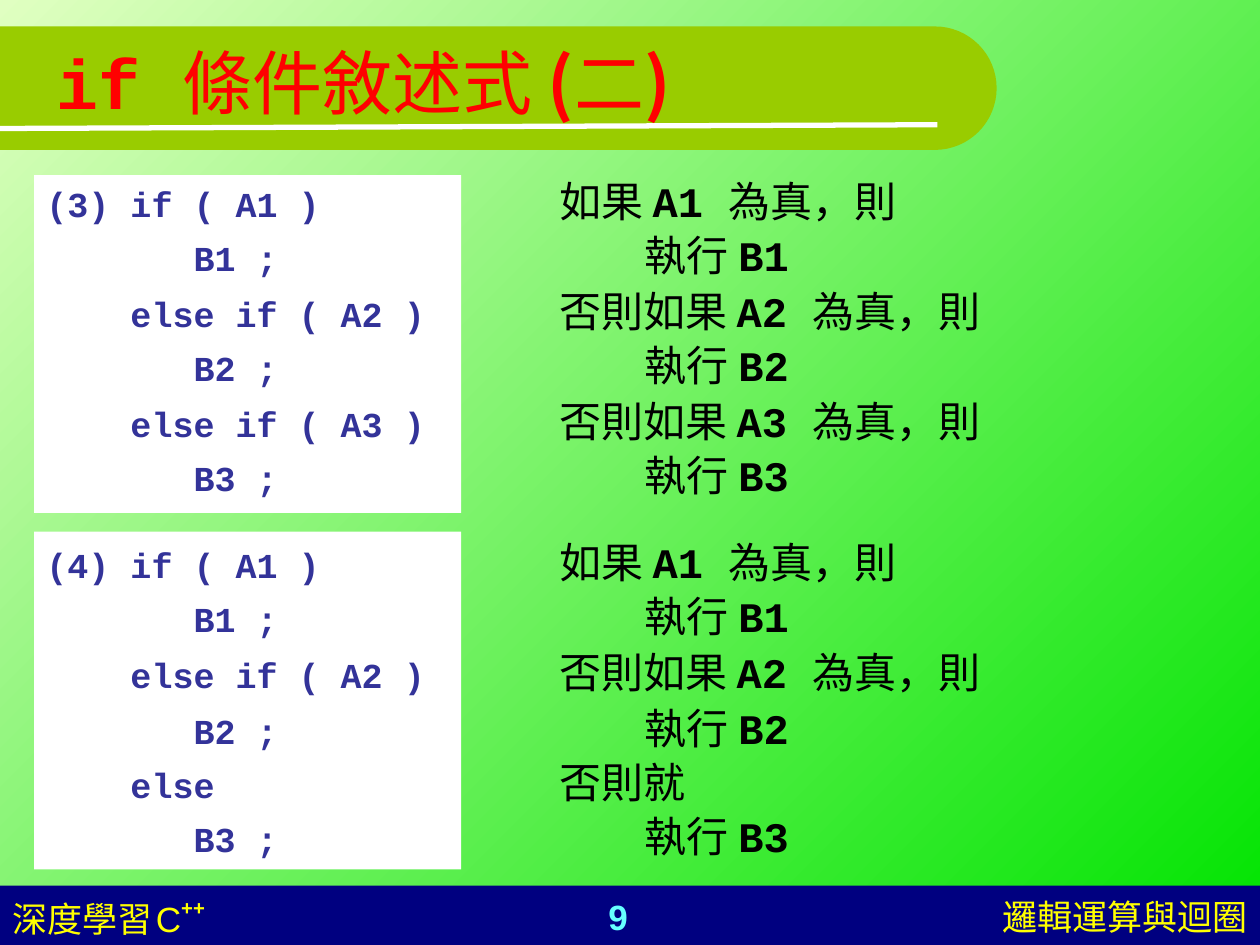
from math import cos, pi, sin

from lxml import etree
from pptx import Presentation
from pptx.dml.color import RGBColor
from pptx.enum.shapes import MSO_CONNECTOR, MSO_SHAPE
from pptx.enum.text import MSO_ANCHOR, PP_ALIGN
from pptx.oxml.ns import qn
from pptx.util import Inches, Pt

RECT = MSO_SHAPE.RECTANGLE
LINE = MSO_CONNECTOR.STRAIGHT
TOP, MIDDLE = MSO_ANCHOR.TOP, MSO_ANCHOR.MIDDLE
LEFT, CENTER, RIGHT = PP_ALIGN.LEFT, PP_ALIGN.CENTER, PP_ALIGN.RIGHT
MONO, SANS, HAN = "Courier New", "Arial", "Noto Sans CJK SC"
BLUE, YELLOW, RED = "333399", "FFFF00", "FF0000"

# Code, Chinese before the name, name, Chinese after it, space before
LINES = [
    ("(3) if ( A1 )", "如果 ", "A1 ", "為真，則", 0),
    ("       B1 ;", "執行 ", "B1", "", 5),
    ("    else if ( A2 )", "否則如果 ", "A2 ", "為真，則", 6),
    ("       B2 ;", "執行 ", "B2", "", 5),
    ("    else if ( A3 )", "否則如果 ", "A3 ", "為真，則", 6),
    ("       B3 ;", "執行 ", "B3", "", 5),
    ("(4) if ( A1 )", "如果 ", "A1 ", "為真，則", 24),
    ("       B1 ;", "執行 ", "B1", "", 5),
    ("    else if ( A2 )", "否則如果 ", "A2 ", "為真，則", 6),
    ("       B2 ;", "執行 ", "B2", "", 6),
    ("    else", "否則就", "", "", 5),
    ("       B3 ;", "執行 ", "B3", "", 5),
]


def color(code):
    return RGBColor.from_string(code)


def paint(shape, code):
    shape.shadow.inherit = False
    shape.fill.solid()
    shape.fill.fore_color.rgb = color(code)
    shape.line.fill.background()


def add_rect(slide, x, y, w, h, code):
    box = slide.shapes.add_shape(RECT, Inches(x), Inches(y), Inches(w), Inches(h))
    paint(box, code)


def add_banner(slide, y, w, h, code):
    r = h / 2
    turns = [-pi / 2 + pi * i / 32 for i in range(33)]
    arc = [(Inches(w - r + r * cos(t)), Inches(y + r + r * sin(t))) for t in turns]
    path = slide.shapes.build_freeform(0, Inches(y))
    path.add_line_segments(arc + [(0, Inches(y + h))], close=True)
    paint(path.convert_to_shape(), code)


def add_line(slide, x1, y1, x2, y2, code, width):
    line = slide.shapes.add_connector(LINE, Inches(x1), Inches(y1), Inches(x2), Inches(y2))
    line.line.color.rgb = color(code)
    line.line.width = Pt(width)
    etree.SubElement(line._element.spPr, qn("a:effectLst"))


def add_box(slide, x, y, w, h, anchor=TOP):
    frame = slide.shapes.add_textbox(Inches(x), Inches(y), Inches(w), Inches(h)).text_frame
    frame.word_wrap = True
    frame.vertical_anchor = anchor
    return frame


def add_run(para, text, size, face, code, bold=False):
    run = para.add_run()
    run.text = text
    font = run.font
    font.size, font.name, font.bold = Pt(size), face, bold
    font.color.rgb = color(code)
    if face == HAN:
        etree.SubElement(font._element, qn("a:ea"), typeface=HAN)
    return run


def add_label(slide, x, w, align, parts):
    para = add_box(slide, x, 7.06, w, 0.44).paragraphs[0]
    para.alignment = align
    return [add_run(para, *part) for part in parts]


def set_tab(para, pos):
    tabs = etree.SubElement(para._p.get_or_add_pPr(), qn("a:tabLst"))
    etree.SubElement(tabs, qn("a:tab"), pos=str(Inches(pos)), algn="l")


def add_title(slide):
    para = add_box(slide, 0.35, 0.21, 9.37, 0.87, MIDDLE).paragraphs[0]
    for text, face, bold in [("if ", MONO, True), ("條件敘述式 ", SANS, False),
                             ("(", HAN, True), ("二", HAN, False), (")", HAN, True)]:
        add_run(para, text, 40, face, RED, bold)


def add_code(slide):
    frame = add_box(slide, 0.27, 1.39, 8.35, 5.83)
    for i, (code, before, name, after, gap) in enumerate(LINES):
        para = frame.paragraphs[0] if i == 0 else frame.add_paragraph()
        set_tab(para, 4.75 if before.startswith("執行") else 4.07)
        para.line_spacing = 0.9
        para.space_before = Pt(gap)
        add_run(para, code + "\t", 20, MONO, BLUE, True)
        add_run(para, before, 24, HAN, "000000")
        if name:
            add_run(para, name, 24, MONO, "000000", True)
        if after:
            add_run(para, after, 24, HAN, "000000")


def main():
    deck = Presentation()
    deck.slide_width, deck.slide_height = Inches(10), Inches(7.5)
    slide = deck.slides.add_slide(deck.slide_layouts[6])

    # Background
    back = slide.background.fill
    back.gradient()
    back.gradient_angle = 315
    for stop, code in zip(back.gradient_stops, ("E0FFC1", "00E400")):
        stop.color.rgb = color(code)

    # Footer bar and title banner
    add_rect(slide, 0, 7.03, 10, 0.47, "000080")
    add_banner(slide, 0.21, 7.91, 0.98, "99CC00")
    add_line(slide, 0, 1.02, 7.44, 0.99, "FFFFFF", 3)

    # Footer labels
    add_label(slide, 3.74, 2.33, CENTER, [("9", 20, SANS, "66FFFF", True)])
    add_label(slide, 6.73, 3.27, RIGHT, [("邏輯運算與迴圈", 20, SANS, YELLOW)])
    runs = add_label(slide, 0, 3.58, LEFT, [
        ("深度學習", 20, SANS, YELLOW), (" ", 8, SANS, YELLOW),
        ("C", 20, SANS, YELLOW), ("++", 20, SANS, YELLOW, True)])
    runs[-1].font._element.set("baseline", "46000")

    # Code panels, title and text
    for top in (1.39, 4.22):
        add_rect(slide, 0.27, top, 3.39, 2.68, "FFFFFF")
    add_title(slide)
    add_code(slide)
    deck.save("out.pptx")


if __name__ == "__main__":
    main()
